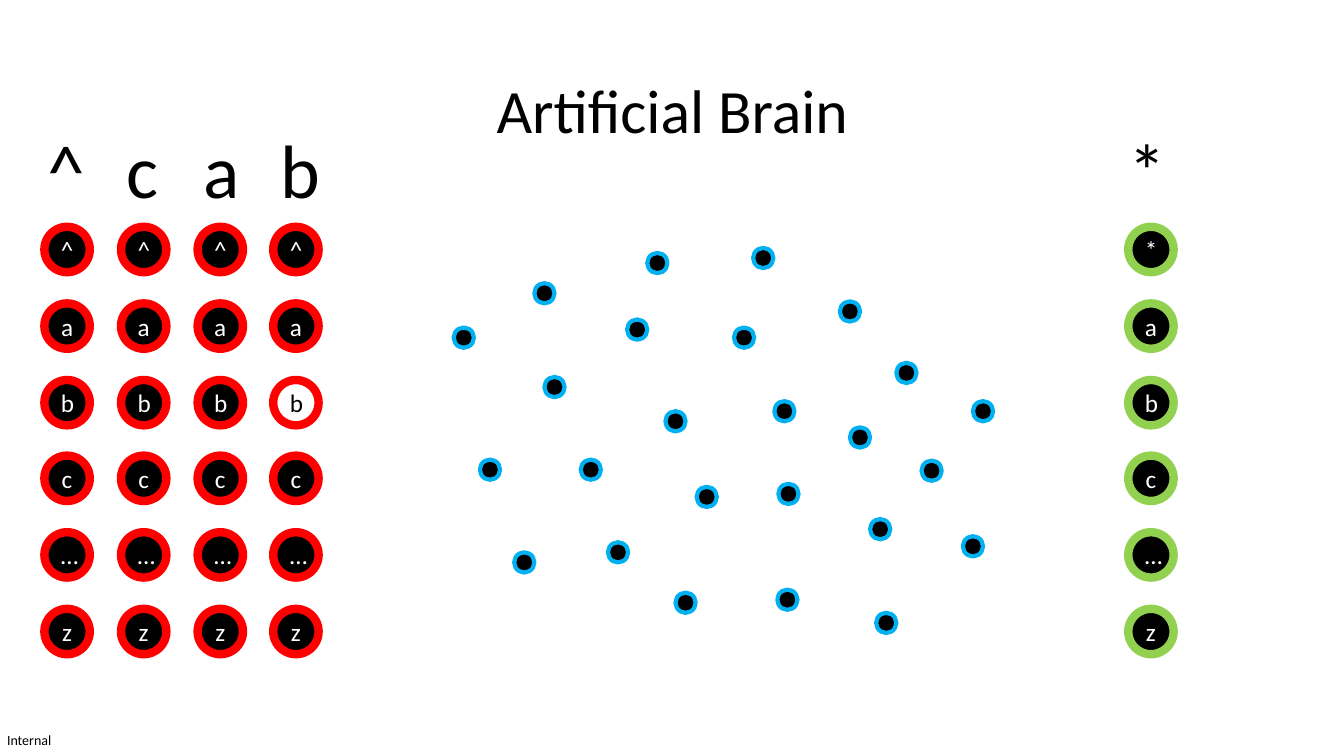
"""Build the Artificial Brain slide: input letters, neurons and output letters."""
import pptx
import pptx.dml.color
import pptx.enum.shapes
import pptx.enum.text
import pptx.util

EMU_PER_PX = 9144
FONT = "Calibri"
BLACK = pptx.dml.color.RGBColor(0x00, 0x00, 0x00)
WHITE = pptx.dml.color.RGBColor(0xFF, 0xFF, 0xFF)
RED = pptx.dml.color.RGBColor(0xFF, 0x00, 0x00)
GREEN = pptx.dml.color.RGBColor(0x92, 0xD0, 0x50)
BLUE = pptx.dml.color.RGBColor(0x00, 0xB0, 0xF0)

LETTER_SIZE = 45
NEURON_SIZE = 20
FIRST_ROW_TOP = 225
LAST_ROW_TOP = 604
INPUT_SYMBOLS = ["^", "a", "b", "c", "…", "z"]
OUTPUT_SYMBOLS = ["*", "a", "b", "c", "…", "z"]
INPUT_COLUMNS = [
    ("^", 37, 58, 44),
    ("c", 116, 52, 120),
    ("a", 192, 56, 196),
    ("b", 268, 60, 271),
]
ACTIVE_INPUT = ("b", "b")
NEURONS = [
    (530, 281), (622, 317), (540, 374), (691, 483), (642, 251),
    (728, 325), (768, 398), (747, 246), (576, 456), (603, 538),
    (670, 588), (772, 480), (833, 299), (889, 360), (843, 424),
    (965, 398), (863, 515), (771, 585), (660, 408), (510, 548),
    (869, 608), (955, 532), (914, 457), (450, 325), (476, 456),
]


def px(length):
    """Turn pixels into EMU."""
    return pptx.util.Emu(length * EMU_PER_PX)


def add_span(para, text, size, color):
    """Add one styled run to a paragraph."""
    span = para.add_run()
    span.text = text
    span.font.name = FONT
    span.font.size = pptx.util.Pt(size)
    span.font.color.rgb = color


def add_label(page, text, left, top, width, height, size, wrap=False):
    """Add a text box holding one black line and return it."""
    box = page.shapes.add_textbox(px(left), px(top), px(width), px(height))
    box.text_frame.word_wrap = wrap
    add_span(box.text_frame.paragraphs[0], text, size, BLACK)
    return box


def add_title(page, text):
    """Add the centred slide title."""
    box = add_label(page, text, 92, 40, 1150, 145, 44, wrap=True)
    box.text_frame.vertical_anchor = pptx.enum.text.MSO_ANCHOR.MIDDLE
    para = box.text_frame.paragraphs[0]
    para.alignment = pptx.enum.text.PP_ALIGN.CENTER
    para.line_spacing = 0.9


def add_footer(page, text):
    """Add the small classification mark without margins."""
    frame = add_label(page, text, 7, 726, 47, 17, 10, wrap=True).text_frame
    frame.margin_left = frame.margin_right = 0
    frame.margin_top = frame.margin_bottom = 0


def add_circle(page, left, top, size, fill, ring, ring_width):
    """Add a filled circle with a coloured ring and return it."""
    circle = page.shapes.add_shape(
        pptx.enum.shapes.MSO_SHAPE.OVAL, px(left), px(top), px(size), px(size)
    )
    circle.shadow.inherit = False
    circle.fill.solid()
    circle.fill.fore_color.rgb = fill
    circle.line.color.rgb = ring
    circle.line.width = pptx.util.Pt(ring_width)
    return circle


def add_letter_column(page, left, symbols, ring, active=None):
    """Add a column of lettered circles, with the active one inverted."""
    pitch = (LAST_ROW_TOP - FIRST_ROW_TOP) / (len(symbols) - 1)
    for row, symbol in enumerate(symbols):
        fill, color = (WHITE, BLACK) if symbol == active else (BLACK, WHITE)
        top = round(FIRST_ROW_TOP + pitch * row)
        circle = add_circle(page, left, top, LETTER_SIZE, fill, ring, 6)
        circle.text_frame.vertical_anchor = pptx.enum.text.MSO_ANCHOR.MIDDLE
        para = circle.text_frame.paragraphs[0]
        para.alignment = pptx.enum.text.PP_ALIGN.CENTER
        add_span(para, symbol, 18, color)


def add_heading(page, text, left, width):
    """Add the large letter above a column."""
    box = add_label(page, text, left, 117, width, 101, 54)
    box.text_frame.auto_size = pptx.enum.text.MSO_AUTO_SIZE.SHAPE_TO_FIT_TEXT


def main():
    """Build and save the deck."""
    deck = pptx.Presentation()
    deck.slide_width = pptx.util.Inches(13.33)
    deck.slide_height = pptx.util.Inches(7.5)
    page = deck.slides.add_slide(deck.slide_layouts[6])
    add_footer(page, "Internal")
    add_title(page, "Artificial Brain")
    for left, top in NEURONS:
        add_circle(page, left, top, NEURON_SIZE, BLACK, BLUE, 3)
    active_column, active_symbol = ACTIVE_INPUT
    for heading, heading_left, width, left in INPUT_COLUMNS:
        add_heading(page, heading, heading_left, width)
        active = active_symbol if heading == active_column else None
        add_letter_column(page, left, INPUT_SYMBOLS, RED, active)
    add_heading(page, "*", 1109, 58)
    add_letter_column(page, 1119, OUTPUT_SYMBOLS, GREEN)
    deck.save("out.pptx")


if __name__ == "__main__":
    main()
